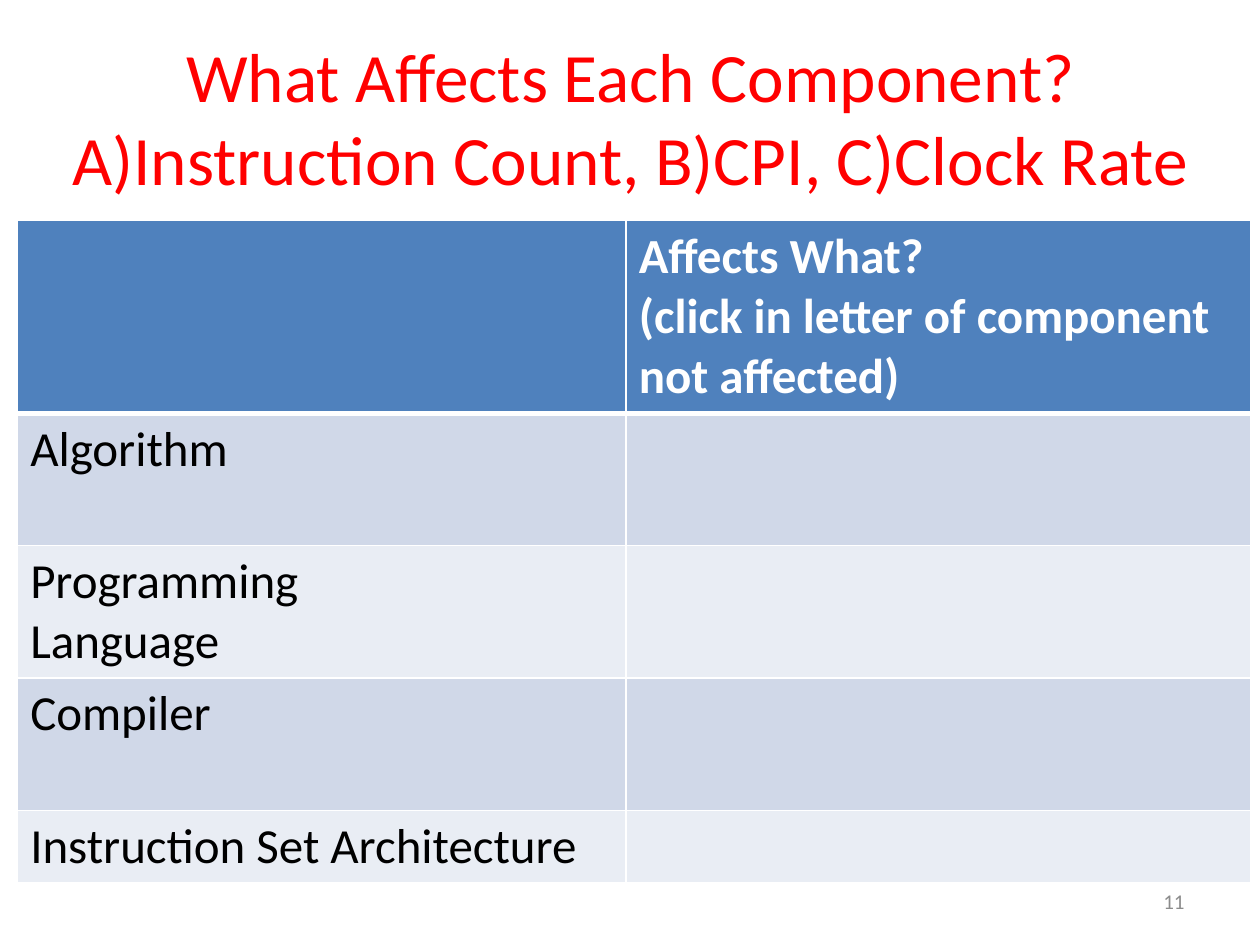
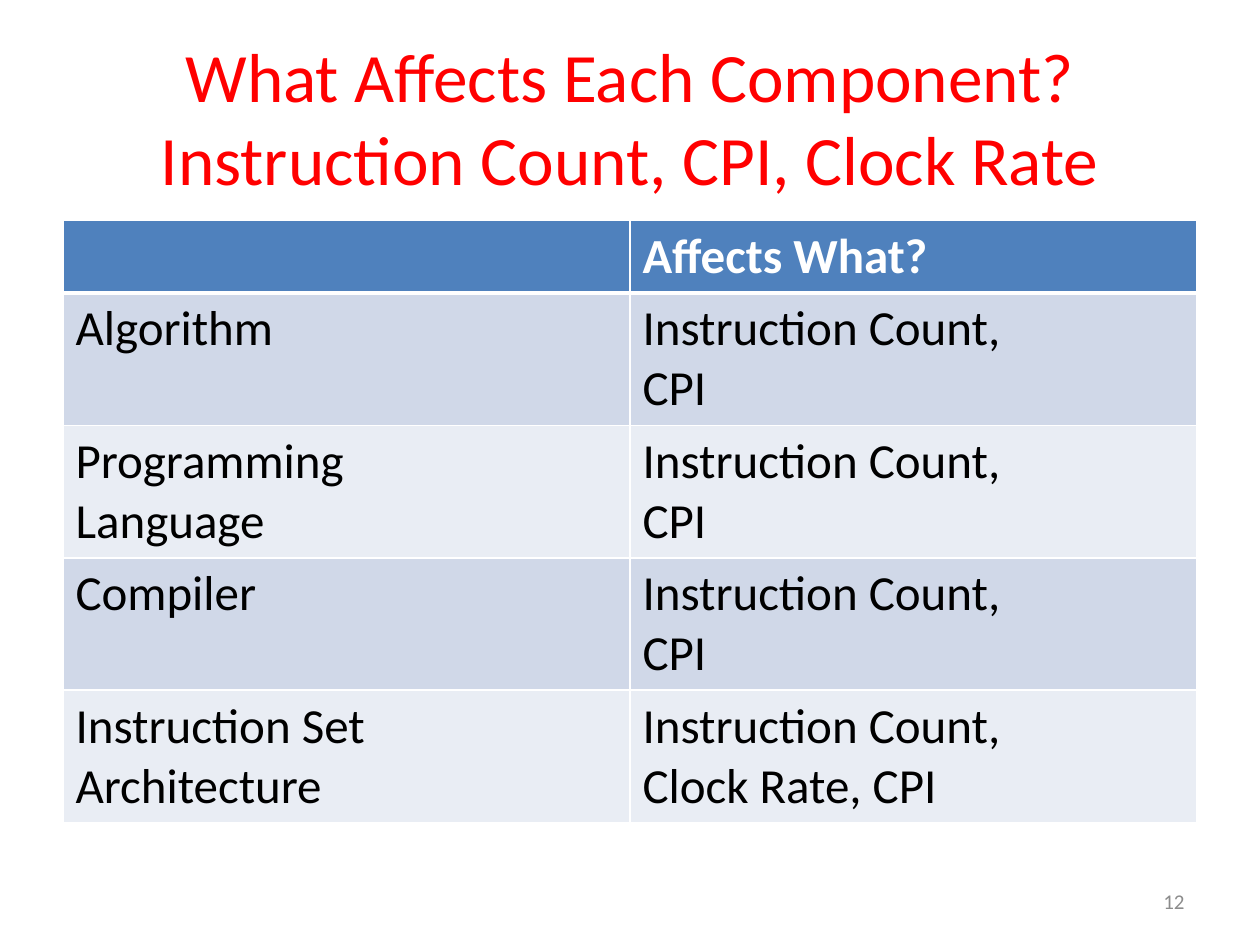
from lxml import etree
from pptx import Presentation
from pptx.dml.color import RGBColor
from pptx.enum.text import MSO_ANCHOR, MSO_AUTO_SIZE, PP_ALIGN
from pptx.oxml.ns import qn
from pptx.util import Inches, Pt

COLORS = {
    "title": "FF0000",
    "header": "4F81BD",
    "odd_row": "D0D8E8",
    "even_row": "E9EDF4",
    "white": "FFFFFF",
    "body": "000000",
    "number": "8C8C8C",
}
FONT = "Calibri"
TITLE_ONLY = 5
TABLE_TOP = 1.75
LINE_HEIGHT = 0.48  # one line of 28 point table text
CELL_MARGIN = 0.09  # height of a row beyond its lines

FACTORS = ["Algorithm", "Programming \vLanguage", "Compiler",
           "Instruction Set Architecture"]
COUNT_AND_CPI = "Instruction Count,\vCPI"

SLIDES = [
    {
        "title": "What Affects Each Component? "
                 "A)Instruction Count, B)CPI, C)Clock Rate",
        "title_box": (0.31, 0.3, 9.39, 1.25),
        "table_left": 0.14,
        "columns": (4.83, 4.96),
        "row_lines": (3, 2, 2, 2, 1),
        "heading": "Affects What?\n(click in letter of component not affected)",
        "answers": [""] * 4,
        "number": 11,
    },
    {
        "title": "What Affects Each Component? Instruction Count, CPI, Clock Rate",
        "title_box": (0.5, 0.3, 9, 1.25),
        "table_left": 0.5,
        "columns": (4.5, 4.5),
        "row_lines": (1, 2, 2, 2, 2),
        "heading": "Affects What?",
        "answers": [COUNT_AND_CPI] * 3 + ["Instruction Count,\vClock Rate, CPI"],
        "number": 12,
    },
]


def color(name):
    return RGBColor.from_string(COLORS[name])


def format_text(text_frame, size, color_name, bold=False, align=None):
    for paragraph in text_frame.paragraphs:
        paragraph.alignment = align
        paragraph.font.size = Pt(size)
        for run in paragraph.runs:
            run.font.name = FONT
            run.font.size = Pt(size)
            run.font.bold = bold
            run.font.color.rgb = color(color_name)


def set_borders(cell, bottom_width):
    """Draw white cell borders, 1 point wide except at the bottom."""
    properties = cell._tc.get_or_add_tcPr()
    widths = {"a:lnL": 1, "a:lnR": 1, "a:lnT": 1, "a:lnB": bottom_width}
    for position, (tag, width) in enumerate(widths.items()):
        line = etree.Element(qn(tag), w=str(Pt(width)))
        fill = etree.SubElement(line, qn("a:solidFill"))
        etree.SubElement(fill, qn("a:srgbClr"), val=COLORS["white"])
        properties.insert(position, line)


def add_title(slide, text, box):
    title = slide.shapes.title
    title.left, title.top, title.width, title.height = map(Inches, box)
    title.text_frame.text = text
    title.text_frame.word_wrap = True
    title.text_frame.auto_size = MSO_AUTO_SIZE.NONE
    title.text_frame.vertical_anchor = MSO_ANCHOR.MIDDLE
    format_text(title.text_frame, 39.6, "title", align=PP_ALIGN.CENTER)


def add_factor_table(slide, left, top, columns, row_lines, rows):
    heights = [lines * LINE_HEIGHT + CELL_MARGIN for lines in row_lines]
    table = slide.shapes.add_table(
        len(rows), len(columns), Inches(left), Inches(top),
        Inches(sum(columns)), Inches(sum(heights))).table
    for column, width in zip(table.columns, columns):
        column.width = Inches(width)
    for index, (row, height, texts) in enumerate(zip(table.rows, heights, rows)):
        row.height = Inches(height)
        is_header = index == 0
        fill = "header" if is_header else "odd_row" if index % 2 else "even_row"
        for cell, text in zip(row.cells, texts):
            cell.text_frame.text = text
            format_text(cell.text_frame, 28, "white" if is_header else "body",
                        bold=is_header)
            cell.fill.solid()
            cell.fill.fore_color.rgb = color(fill)
            set_borders(cell, 3 if is_header else 1)
        if index == 1:
            for cell in row.cells:
                cell._tc.tcPr.find(qn("a:lnT")).set("w", str(Pt(3)))


def add_slide_number(slide, number, box):
    text_frame = slide.shapes.add_textbox(*map(Inches, box)).text_frame
    text_frame.word_wrap = True
    text_frame.vertical_anchor = MSO_ANCHOR.MIDDLE
    text_frame.text = str(number)
    format_text(text_frame, 12, "number", align=PP_ALIGN.RIGHT)


def add_component_slide(presentation, content):
    slide = presentation.slides.add_slide(presentation.slide_layouts[TITLE_ONLY])
    add_title(slide, content["title"], content["title_box"])
    rows = [("", content["heading"]), *zip(FACTORS, content["answers"])]
    add_factor_table(slide, content["table_left"], TABLE_TOP,
                     content["columns"], content["row_lines"], rows)
    add_slide_number(slide, content["number"], (7.17, 6.95, 2.33, 0.4))


def main():
    presentation = Presentation()
    presentation.slide_width = Inches(10)
    presentation.slide_height = Inches(7.5)
    for content in SLIDES:
        add_component_slide(presentation, content)
    presentation.save("out.pptx")


if __name__ == "__main__":
    main()
